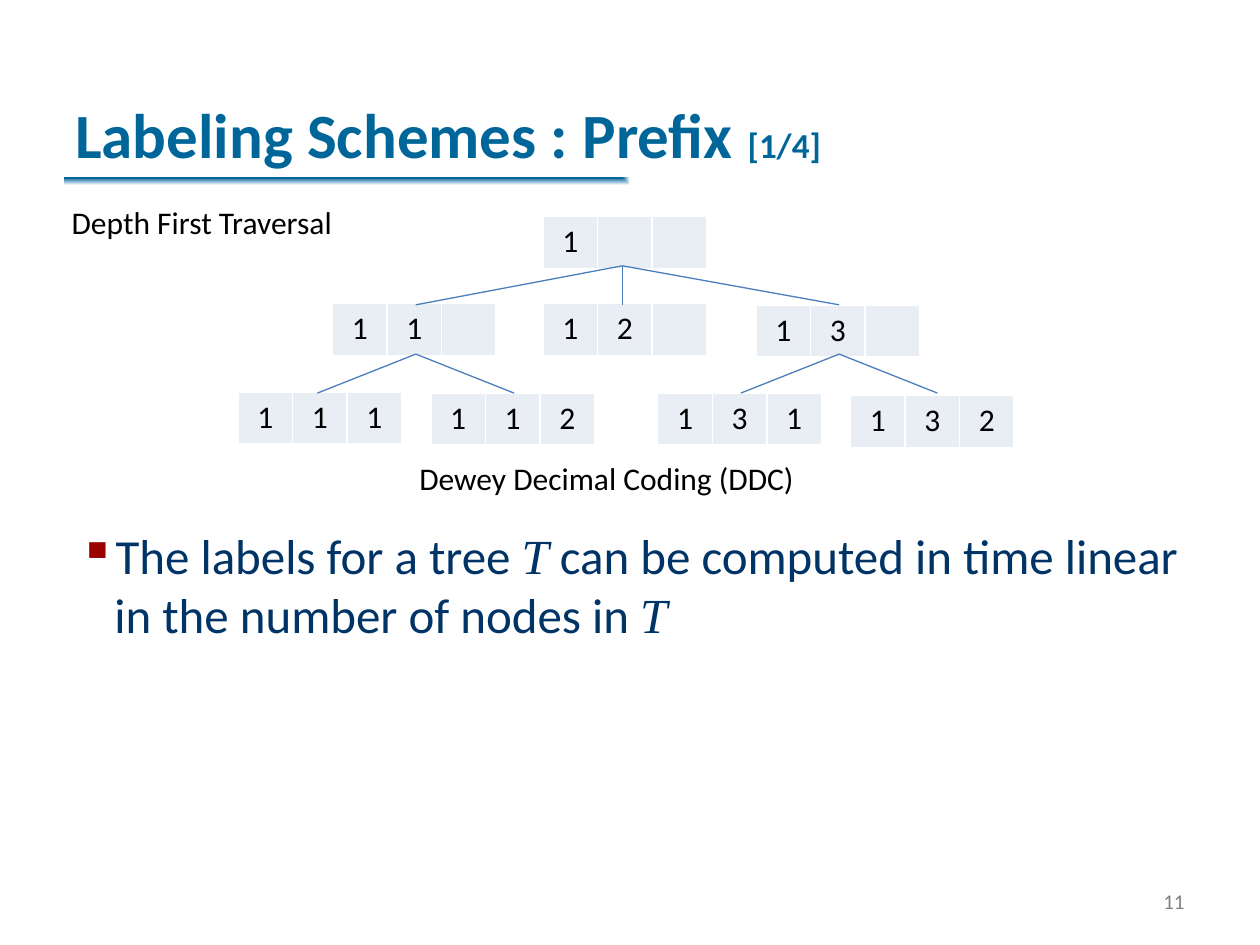
from lxml import etree
from pptx import Presentation
from pptx import util as u
from pptx.dml.color import RGBColor
from pptx.enum import shapes, text
from pptx.oxml import parse_xml
from pptx.oxml.ns import qn

WIDTH, HEIGHT = 10, 7.5
NAMESPACE = 'xmlns:a="http://schemas.openxmlformats.org/drawingml/2006/main"'
TEAL, NAVY, BLACK, GREY = "006699", "003366", "000000", "808080"
WHITE, CELL, EDGE, BULLET = "FFFFFF", "E9EDF4", "4B7EBC", "990000"
CELL_WIDTH, CELL_HEIGHT = 4.33, 5.47
LABELS = [
    (43.1, 22.93, "1"),
    (26.4, 32.13, "11"), (43.1, 32.13, "12"), (60, 32.27, "13"),
    (18.9, 41.47, "111"), (34.2, 41.6, "112"),
    (52.2, 41.6, "131"), (67.5, 41.87, "132"),
]
ROOT, LEFT, RIGHT, SPREAD = 49.4, 33, 66.6, 7.8
BRANCHES = [
    (28.13, ROOT, (LEFT, ROOT, RIGHT)),
    (37.47, LEFT, (LEFT - SPREAD, LEFT + SPREAD)),
    (37.47, RIGHT, (RIGHT - SPREAD, RIGHT + SPREAD)),
]
DROP = 4.13


def across(share):
    """Return a percentage of the slide width as a length."""
    return u.Inches(WIDTH * share / 100)


def down(share):
    """Return a percentage of the slide height as a length."""
    return u.Inches(HEIGHT * share / 100)


def box(left, top, width, height):
    """Return a frame given in percentages of the slide."""
    return across(left), down(top), across(width), down(height)


def colour(value):
    """Return the colour for a hex string."""
    return RGBColor.from_string(value)


def add_run(paragraph, words, size, shade, font="Calibri", bold=False, italic=False):
    """Append one formatted run to a paragraph."""
    run = paragraph.add_run()
    run.text = words
    run.font.name, run.font.size = font, u.Pt(size)
    run.font.bold, run.font.italic = bold, italic
    run.font.color.rgb = colour(shade)


def add_text(slide, frame, anchor=text.MSO_ANCHOR.TOP, align=text.PP_ALIGN.LEFT):
    """Add a wrapping text box and return its first paragraph."""
    text_frame = slide.shapes.add_textbox(*frame).text_frame
    text_frame.word_wrap = True
    text_frame.vertical_anchor = anchor
    paragraph = text_frame.paragraphs[0]
    paragraph.alignment = align
    return paragraph


def add_title_rule(slide):
    """Add the bar below the title, fading out from its top left corner."""
    shape = slide.shapes.add_shape(
        shapes.MSO_SHAPE.RECTANGLE, *box(5.1, 18.8, 89.8, 1.6))
    shape.shadow.inherit = False
    shape.line.fill.background()
    gradient = parse_xml(
        f'<a:gradFill {NAMESPACE} rotWithShape="1"><a:gsLst>'
        f'<a:gs pos="0"><a:srgbClr val="{TEAL}"/></a:gs>'
        f'<a:gs pos="100000"><a:srgbClr val="{WHITE}"/></a:gs></a:gsLst>'
        '<a:path path="rect"><a:fillToRect r="100000" b="100000"/></a:path>'
        '</a:gradFill>')
    shape._element.spPr.find(qn("a:prstGeom")).addnext(gradient)


def add_borders(cell):
    """Give a table cell thin white borders on all sides."""
    properties = cell._tc.get_or_add_tcPr()
    for position, side in enumerate(("lnL", "lnR", "lnT", "lnB")):
        properties.insert(position, parse_xml(
            f'<a:{side} {NAMESPACE} w="12700"><a:solidFill>'
            f'<a:srgbClr val="{WHITE}"/></a:solidFill></a:{side}>'))


def add_label(slide, left, top, digits):
    """Add a three-cell table holding the digits of a node label."""
    frame = box(left, top, 3 * CELL_WIDTH, CELL_HEIGHT)
    table = slide.shapes.add_table(1, 3, *frame).table
    table.first_row = table.horz_banding = False
    for cell, digit in zip(table.iter_cells(), digits.ljust(3)):
        cell.fill.solid()
        cell.fill.fore_color.rgb = colour(CELL)
        add_borders(cell)
        if digit.strip():
            paragraph = cell.text_frame.paragraphs[0]
            paragraph.alignment = text.PP_ALIGN.CENTER
            add_run(paragraph, digit, 18, BLACK)


def add_edge(slide, parent, child, top):
    """Add a line from a parent node down to a child node."""
    line = slide.shapes.add_connector(
        shapes.MSO_CONNECTOR.STRAIGHT,
        across(parent), down(top), across(child), down(top + DROP))
    line.line.color.rgb = colour(EDGE)
    line.line.width = u.Pt(0.75)
    etree.SubElement(line._element.spPr, qn("a:effectLst"))


def add_bullet(paragraph):
    """Give a paragraph a hanging indent and a square bullet."""
    properties = paragraph._p.get_or_add_pPr()
    properties.set("marL", str(u.Inches(0.31)))
    properties.set("indent", str(u.Inches(-0.28)))
    for element in (
            f'<a:buClr {NAMESPACE}><a:srgbClr val="{BULLET}"/></a:buClr>',
            f'<a:buChar {NAMESPACE} char="▪"/>'):
        properties.append(parse_xml(element))


def add_statement(slide):
    """Add the bulleted statement about computing the labels."""
    paragraph = add_text(slide, box(5, 55, 90, 15))
    add_bullet(paragraph)
    for words in ("The labels for a tree ",
                  " can be computed in time linear in the number of nodes in "):
        add_run(paragraph, words, 28, NAVY)
        add_run(paragraph, "T", 28, NAVY, "Times New Roman", italic=True)


def main():
    """Build the slide and save it."""
    presentation = Presentation()
    presentation.slide_width, presentation.slide_height = across(100), down(100)
    slide = presentation.slides.add_slide(presentation.slide_layouts[6])

    add_title_rule(slide)
    title = add_text(slide, box(5, 0, 90, 18.8), text.MSO_ANCHOR.BOTTOM)
    add_run(title, "Labeling Schemes : Prefix ", 36, TEAL, bold=True)
    add_run(title, "[1/4]", 20, TEAL, bold=True)
    number = add_text(slide, box(89.8, 92.67, 5.2, 5.33),
                      text.MSO_ANCHOR.MIDDLE, text.PP_ALIGN.RIGHT)
    add_run(number, "11", 12, GREY)
    add_statement(slide)

    heading = add_text(slide, box(4.7, 20.8, 23.2, 5.33))
    add_run(heading, "Depth First Traversal", 18, BLACK)
    for left, top, digits in LABELS:
        add_label(slide, left, top, digits)
    for top, parent, children in BRANCHES:
        for child in children:
            add_edge(slide, parent, child, top)
    caption = add_text(slide, box(32.3, 47.87, 34.1, 5.33))
    add_run(caption, "Dewey Decimal Coding (DDC)", 18, BLACK)

    presentation.save("out.pptx")


if __name__ == "__main__":
    main()
